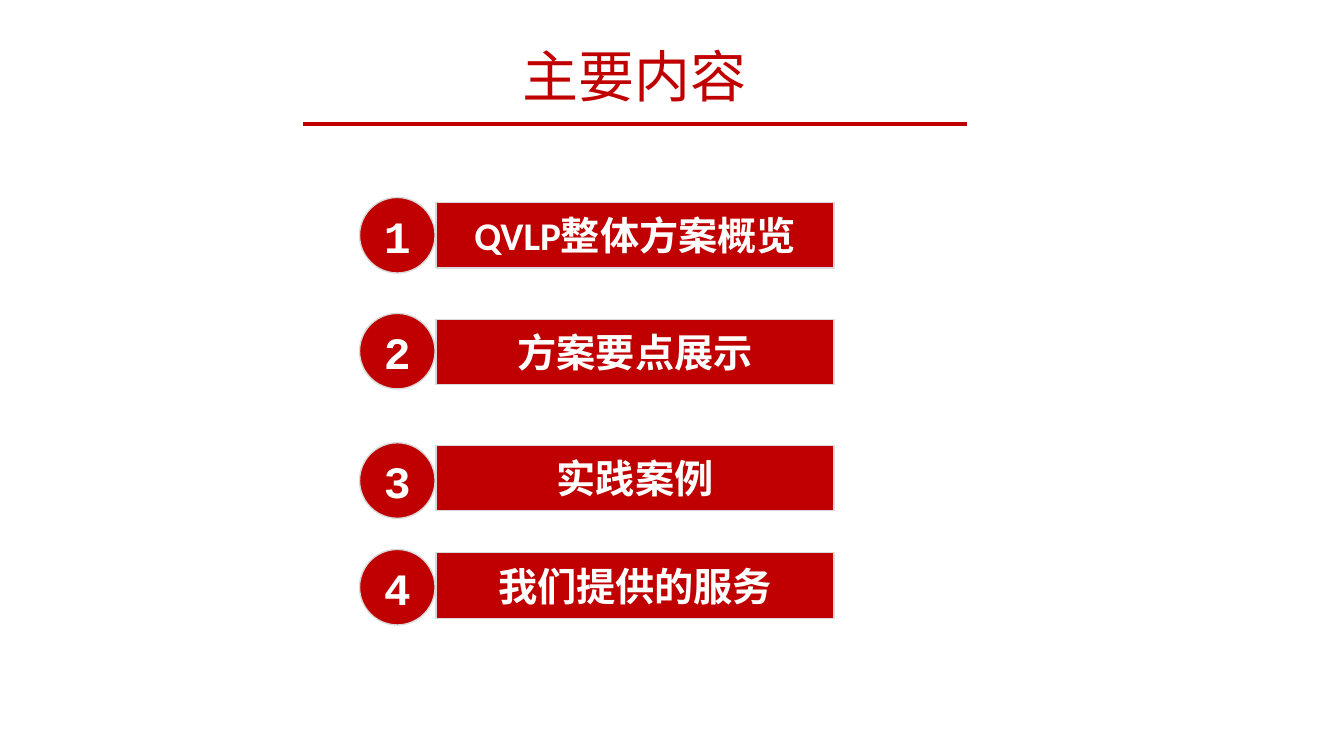
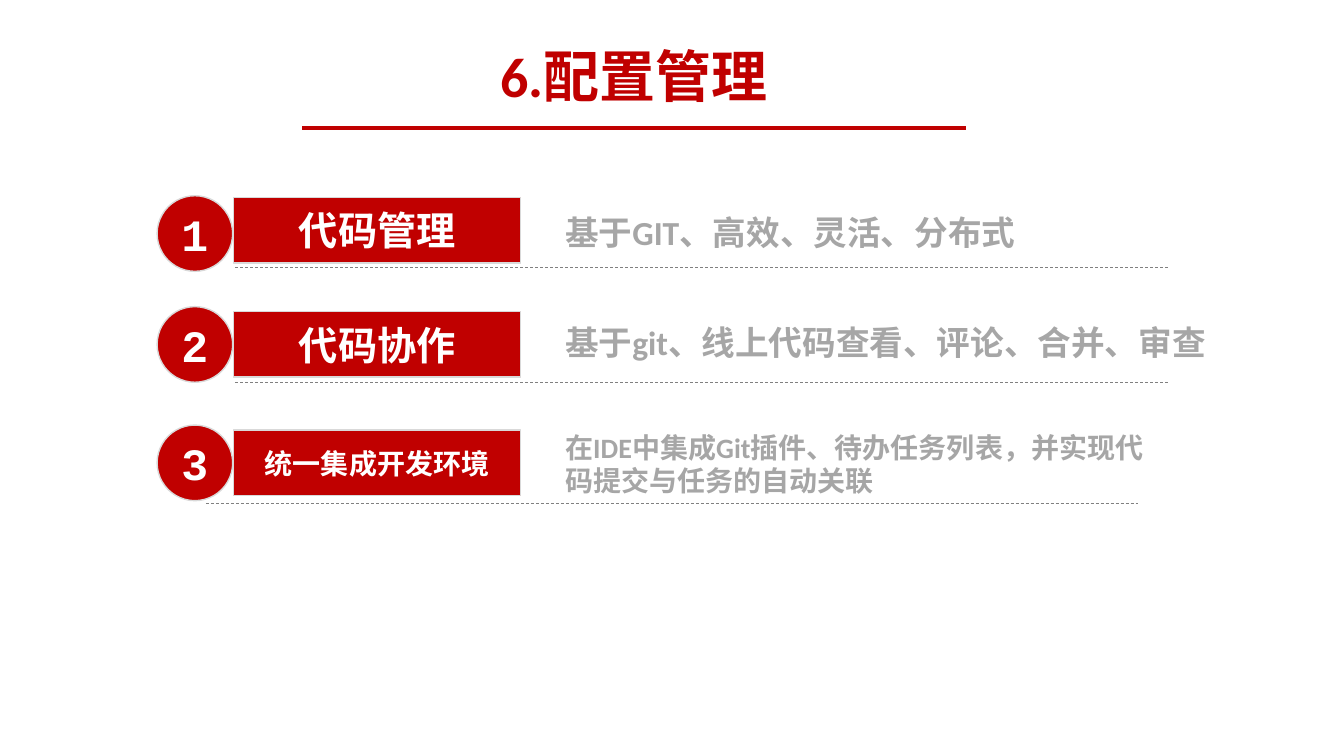
from pptx import Presentation
from pptx import util as u
from pptx.dml.color import RGBColor
from pptx.enum import dml, shapes, text
from pptx.oxml.ns import qn
from lxml import etree

RED = RGBColor(0xC0, 0x00, 0x00)
WHITE = RGBColor(0xFF, 0xFF, 0xFF)
PALE_GREY = RGBColor(0xD9, 0xD9, 0xD9)
TEXT_GREY = RGBColor(0xA6, 0xA6, 0xA6)
RULE_GREY = RGBColor(0x80, 0x80, 0x80)

deck = Presentation()
deck.slide_width, deck.slide_height = u.Cm(33.87), u.Inches(7.5)
CELL = deck.slide_width / 160  # square grid of 160 columns by 90 rows
CIRCLE, BAR_HEIGHT = 9, 7.8


def add_text(page, preset, place, words, size, color, bold=True, font="Calibri"):
    """Add a filled preset shape, or a plain text box when preset is None."""
    left, top, width, height = (round(cells * CELL) for cells in place)
    if preset is None:
        box = page.shapes.add_textbox(left, top, width, height)
    else:
        box = page.shapes.add_shape(preset, left, top, width, height)
        box.shadow.inherit = False
        box.fill.solid()
        box.fill.fore_color.rgb = RED
        box.line.color.rgb = PALE_GREY
        box.line.width = u.Pt(1)
        box.text_frame.vertical_anchor = text.MSO_ANCHOR.MIDDLE
    box.text_frame.word_wrap = True
    para = box.text_frame.paragraphs[0]
    para.text = words
    para.font.name, para.font.size, para.font.bold = font, u.Pt(size), bold
    para.font.color.rgb = color
    para.alignment = text.PP_ALIGN.LEFT if color == TEXT_GREY else text.PP_ALIGN.CENTER


def add_rule(page, left, top, length, color, weight):
    start, end, level = (round(cells * CELL) for cells in (left, left + length, top))
    rule = page.shapes.add_connector(shapes.MSO_CONNECTOR.STRAIGHT, start, level, end, level)
    rule.line.color.rgb = color
    rule.line.width = u.Pt(weight)
    etree.SubElement(rule.element.spPr, qn("a:effectLst"))
    return rule


# Title, bold, rule left and top; circle left, bar left and width;
# entries: words, size, circle top, bar top
outlines = [
    ("主要内容", False, 36.1, 14.8, 42.8, 51.9, 47.4, [
        ("QVLP整体方案概览", 28, 23.5, 24.1),
        ("方案要点展示", 28, 37.3, 38),
        ("实践案例", 28, 52.7, 53),
        ("我们提供的服务", 28, 65.4, 65.8),
    ]),
    ("6.配置管理", True, 36, 15.2, 18.7, 27.8, 34.2, [
        ("代码管理", 28, 23.3, 23.5),
        ("代码协作", 28, 36.5, 37.1),
        ("统一集成开发环境", 20, 50.6, 51.2),
    ]),
]

for title, bold, rule_left, rule_top, circle_left, bar_left, bar_width, entries in outlines:
    page = deck.slides.add_slide(deck.slide_layouts[6])
    add_text(page, None, (24.5, 4.3, 102, 11), title, 40, RED, bold)
    add_rule(page, rule_left, rule_top, 79, RED, 3)
    for number, (words, size, circle_top, bar_top) in enumerate(entries, 1):
        add_text(page, shapes.MSO_SHAPE.RECTANGLE,
                 (bar_left, bar_top, bar_width, BAR_HEIGHT), words, size, WHITE)
        add_text(page, shapes.MSO_SHAPE.OVAL,
                 (circle_left, circle_top, CIRCLE, CIRCLE), str(number), 32, WHITE,
                 font="Courier New")

# Configuration page: words, size, text top and width, rule left and top
details = [
    ("基于GIT、高效、灵活、分布式", 24, 24.6, 76.2, 28, 31.8),
    ("基于git、线上代码查看、评论、合并、审查", 24, 37.7, 91.9, 28, 45.5),
    ("在IDE中集成Git插件、待办任务列表，并实现代码提交与任务的自动关联",
     20, 50.6, 72.7, 24.5, 59.9),
]
for words, size, top, width, rule_left, rule_top in details:
    add_text(page, None, (66.1, top, width, 7.3), words, size, TEXT_GREY)
    rule = add_rule(page, rule_left, rule_top, 111, RULE_GREY, 0.5)
    rule.line.dash_style = dml.MSO_LINE.DASH

deck.save("out.pptx")
